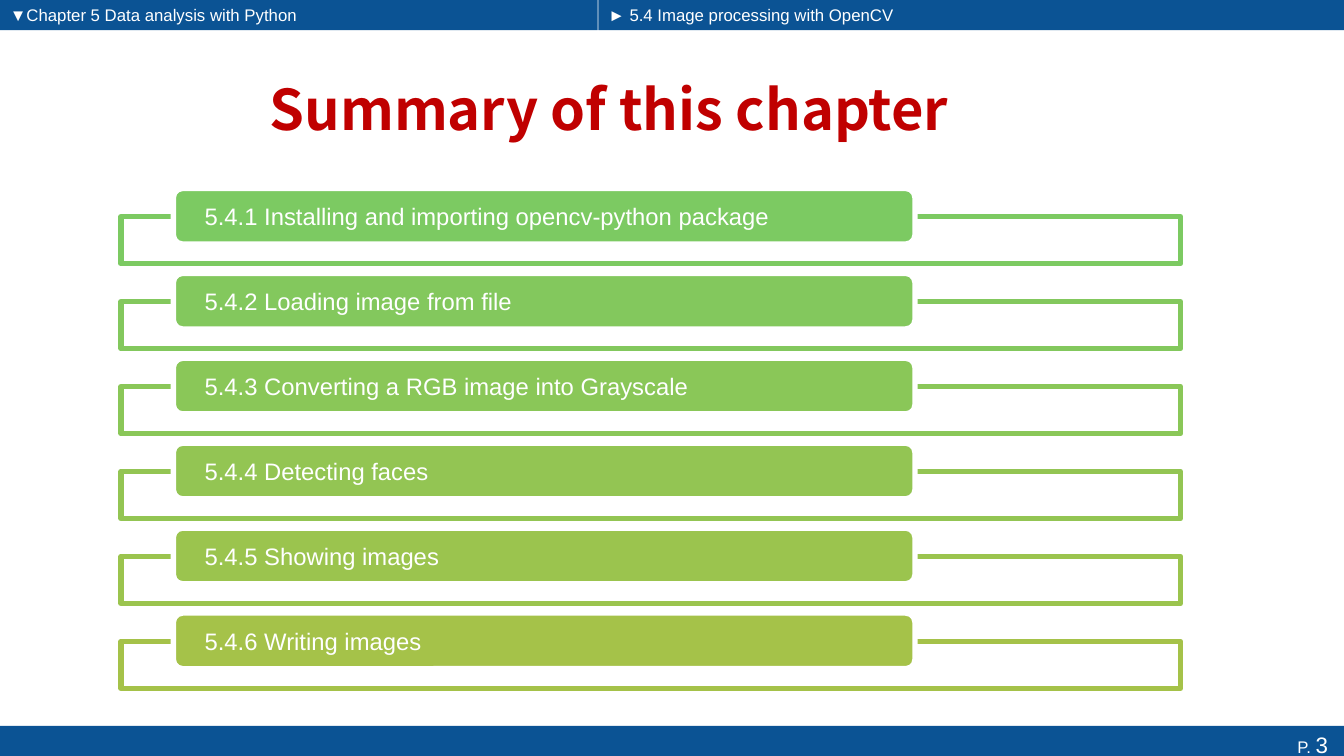
import pptx
import pptx.dml.color
import pptx.enum.shapes
import pptx.enum.text
import pptx.util
from pptx.util import Cm

SHAPES = pptx.enum.shapes.MSO_SHAPE
ALIGN = pptx.enum.text.PP_ALIGN
WIDTH, HEIGHT = 33.87, 19.05
BLUE, WHITE, RED = "0B5394", "FFFFFF", "C00000"

SECTIONS = [
    ("5.4.1 Installing and importing opencv-python package", "7CCA62"),
    ("5.4.2 Loading image from file", "83C85D"),
    ("5.4.3 Converting a RGB image into Grayscale", "8AC758"),
    ("5.4.4 Detecting faces", "93C553"),
    ("5.4.5 Showing images", "9BC44E"),
    ("5.4.6 Writing images", "A5C249"),
]
FIRST_LABEL_TOP, SECTION_PITCH, FRAME_OFFSET = 4.75, 2.14, 0.71


def color(hex_string):
    return pptx.dml.color.RGBColor.from_string(hex_string)


def add_box(slide, kind, left, top, width, height, fill, line=None):
    shape = slide.shapes.add_shape(kind, Cm(left), Cm(top), Cm(width), Cm(height))
    shape.shadow.inherit = False
    shape.fill.solid()
    shape.fill.fore_color.rgb = color(fill)
    if line:
        shape.line.color.rgb = color(line)
        shape.line.width = pptx.util.Pt(3.78)
    else:
        shape.line.fill.background()
    return shape


def set_text(shape, runs, align=ALIGN.LEFT, inset=0.25, font="Arial", fill=WHITE, bold=False):
    """Write one vertically centred paragraph; runs are (text, point size) pairs."""
    frame = shape.text_frame
    frame.word_wrap = True
    frame.vertical_anchor = pptx.enum.text.MSO_ANCHOR.MIDDLE
    frame.margin_left = frame.margin_right = Cm(inset)
    frame.margin_top = frame.margin_bottom = 0
    paragraph = frame.paragraphs[0]
    paragraph.alignment = align
    for text, size in runs:
        run = paragraph.add_run()
        run.text = text
        run.font.name = font
        run.font.size = pptx.util.Pt(size)
        run.font.bold = bold
        run.font.color.rgb = color(fill)


def add_bars(slide):
    chapter = add_box(slide, SHAPES.RECTANGLE, 0, 0, 15.06, 0.76, BLUE)
    set_text(chapter, [("▼Chapter 5 Data analysis with Python", 12)])
    section = add_box(slide, SHAPES.RECTANGLE, 15.08, 0, WIDTH - 15.08, 0.76, BLUE)
    set_text(section, [("► 5.4 Image processing with OpenCV", 12)])
    footer = add_box(slide, SHAPES.RECTANGLE, 0, 18.29, WIDTH, 0.95, BLUE)
    set_text(footer, [("P. ", 12), ("3", 16)], ALIGN.RIGHT, inset=0.4)


def add_title(slide, text):
    title = slide.shapes.add_textbox(Cm(1.73), Cm(1.57), Cm(27.23), Cm(2.29))
    set_text(title, [(text, 40)], ALIGN.CENTER, font="Noto Sans CJK SC", fill=RED, bold=True)


def add_section(slide, top, text, green):
    """Add an outlined frame with a rounded label over its upper edge."""
    add_box(slide, SHAPES.RECTANGLE, 3.05, top + FRAME_OFFSET, 26.7, 1.19, WHITE, green)
    label = add_box(slide, SHAPES.ROUNDED_RECTANGLE, 4.37, top, 18.69, 1.4, green, WHITE)
    set_text(label, [(text, 17)], inset=0.72)


def main():
    presentation = pptx.Presentation()
    presentation.slide_width, presentation.slide_height = Cm(WIDTH), Cm(HEIGHT)
    slide = presentation.slides.add_slide(presentation.slide_layouts[6])
    add_bars(slide)
    add_title(slide, "Summary of this chapter")
    for index, (text, green) in enumerate(SECTIONS):
        add_section(slide, FIRST_LABEL_TOP + index * SECTION_PITCH, text, green)
    presentation.save("out.pptx")


if __name__ == "__main__":
    main()
